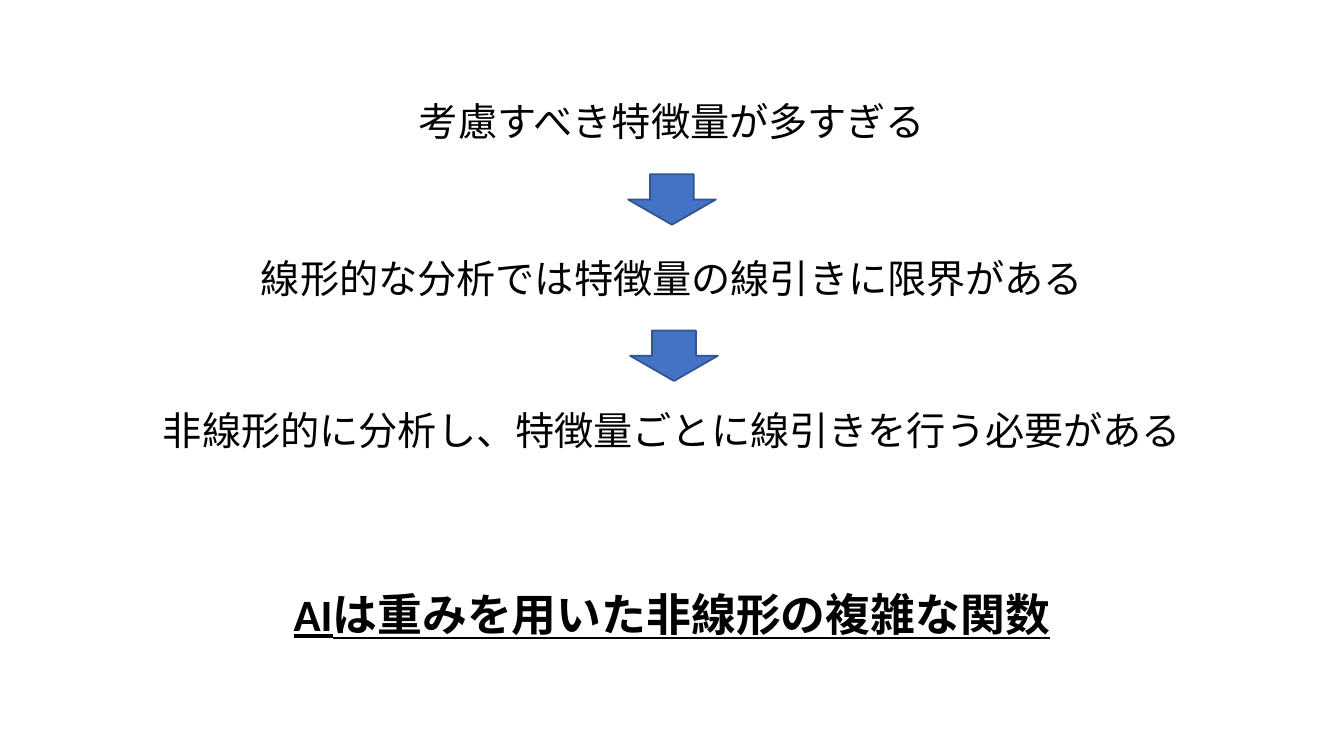
import pptx
import pptx.util
import pptx.dml.color
import pptx.enum.shapes
import pptx.enum.text

# Content: text, top, width (inches)
STEPS = [
    ("考慮すべき特徴量が多すぎる", 0.92, 6.78),
    ("線形的な分析では特徴量の線引きに限界がある", 2.47, 10.91),
    ("非線形的に分析し、特徴量ごとに線引きを行う必要がある", 3.98, 11.94),
]
CLAIM = ("AIは重みを用いた非線形の複雑な関数", 5.77, 8.18)
ARROWS = [(6.23, 1.73), (6.25, 3.28)]  # left, top

WIDE, HIGH = 13.33, 7.5
ARROW_W, ARROW_H = 0.87, 0.5
FONT = "Calibri"
BLACK = pptx.dml.color.RGBColor(0x00, 0x00, 0x00)
BLUE = pptx.dml.color.RGBColor(0x44, 0x72, 0xC4)
NAVY = pptx.dml.color.RGBColor(0x32, 0x54, 0x91)
inch = pptx.util.Inches


def add_text(slide, text, top, width, height=0.57, size=28, bold=False, under=False):
    """Add one line of text, centred on the slide."""
    box = slide.shapes.add_textbox(
        inch((WIDE - width) / 2), inch(top), inch(width), inch(height))
    frame = box.text_frame
    frame.word_wrap = True
    frame.auto_size = pptx.enum.text.MSO_AUTO_SIZE.SHAPE_TO_FIT_TEXT
    para = frame.paragraphs[0]
    para.alignment = pptx.enum.text.PP_ALIGN.CENTER
    run = para.add_run()
    run.text = text
    font = run.font
    font.name, font.size = FONT, pptx.util.Pt(size)
    font.bold, font.underline = bold, under
    font.color.rgb = BLACK


def add_arrow(slide, left, top):
    arrow = slide.shapes.add_shape(
        pptx.enum.shapes.MSO_SHAPE.DOWN_ARROW,
        inch(left), inch(top), inch(ARROW_W), inch(ARROW_H))
    arrow.shadow.inherit = False
    arrow.fill.solid()
    arrow.fill.fore_color.rgb = BLUE
    arrow.line.color.rgb = NAVY
    arrow.line.width = pptx.util.Pt(1.25)


def main():
    deck = pptx.Presentation()
    deck.slide_width, deck.slide_height = inch(WIDE), inch(HIGH)
    slide = deck.slides.add_slide(deck.slide_layouts[6])

    # Closing claim
    add_text(slide, *CLAIM, height=0.64, size=32, bold=True, under=True)

    # Chain of reasoning
    for step in STEPS:
        add_text(slide, *step)
    for spot in ARROWS:
        add_arrow(slide, *spot)

    deck.save("out.pptx")


if __name__ == "__main__":
    main()
